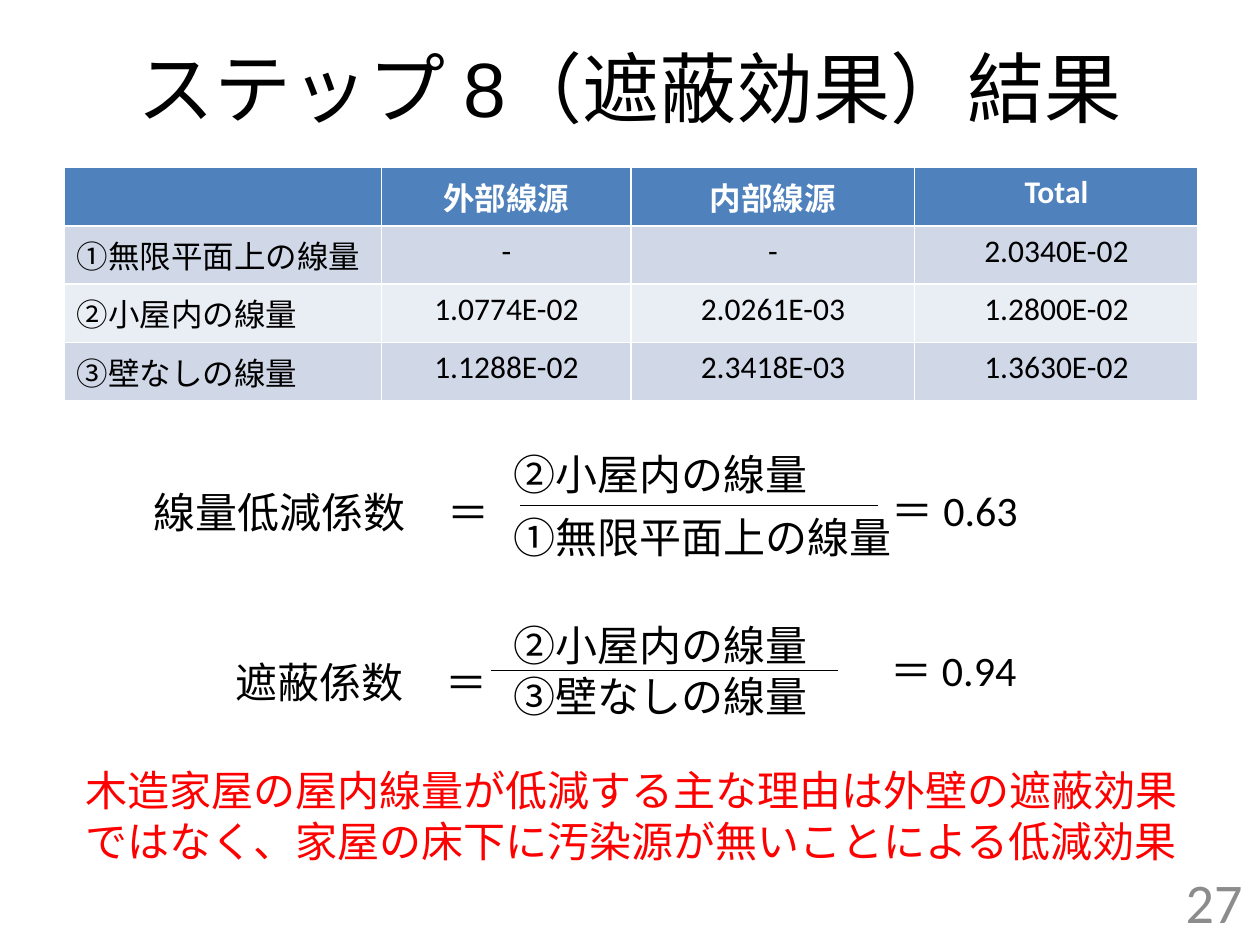
from lxml import etree
from pptx import Presentation
from pptx.dml.color import RGBColor
from pptx.enum.shapes import MSO_CONNECTOR
from pptx.enum.text import MSO_ANCHOR, PP_ALIGN
from pptx.oxml.ns import qn
from pptx.util import Inches, Pt

LEFT, CENTER, RIGHT = PP_ALIGN.LEFT, PP_ALIGN.CENTER, PP_ALIGN.RIGHT
TOP, MIDDLE = MSO_ANCHOR.TOP, MSO_ANCHOR.MIDDLE
STRAIGHT = MSO_CONNECTOR.STRAIGHT

BLACK = RGBColor(0x00, 0x00, 0x00)
WHITE = RGBColor(0xFF, 0xFF, 0xFF)
RED = RGBColor(0xFF, 0x00, 0x00)
GRAY = RGBColor(0x8C, 0x8C, 0x8C)
HEADER_BLUE = RGBColor(0x4F, 0x81, 0xBD)
BAND_DARK = RGBColor(0xD0, 0xD8, 0xE8)
BAND_LIGHT = RGBColor(0xE9, 0xED, 0xF4)

SLIDE_WIDTH, SLIDE_HEIGHT = 10, 7.5
MARGIN = 0.51
CONTENT_WIDTH = 9
LINE_HEIGHT = 0.5

COLUMN_WIDTHS = [2.52, 1.98, 2.25, 2.25]
DOSE_ROWS = [
    ["", "外部線源", "内部線源", "Total"],
    ["①無限平面上の線量", "-", "-", "2.0340E-02"],
    ["②小屋内の線量", "1.0774E-02", "2.0261E-03", "1.2800E-02"],
    ["③壁なしの線量", "1.1288E-02", "2.3418E-03", "1.3630E-02"],
]


def write(text_frame, text, align=LEFT, **formats):
    """Put one formatted paragraph in a text frame."""
    paragraph = text_frame.paragraphs[0]
    paragraph.alignment = align
    run = paragraph.add_run()
    run.text = text
    settings = {"name": "Calibri", "size": Pt(24), "color": BLACK, **formats}
    run.font.color.rgb = settings.pop("color")
    for name, value in settings.items():
        setattr(run.font, name, value)


def add_text(slide, box, text, align=LEFT, anchor=TOP, **formats):
    text_frame = slide.shapes.add_textbox(*map(Inches, box)).text_frame
    text_frame.word_wrap = True
    text_frame.vertical_anchor = anchor
    write(text_frame, text, align, **formats)


def add_title(slide, box, text):
    title = slide.shapes.title
    title.left, title.top, title.width, title.height = map(Inches, box)
    title.text_frame.vertical_anchor = MIDDLE
    write(title.text_frame, text, CENTER, name="Arial", size=Pt(44))


def add_dose_table(slide, box):
    frame = slide.shapes.add_table(len(DOSE_ROWS), len(COLUMN_WIDTHS), *map(Inches, box))
    table = frame.table
    for column, width in zip(table.columns, COLUMN_WIDTHS):
        column.width = Inches(width)
    for row, values in enumerate(DOSE_ROWS):
        header = row == 0
        fill = HEADER_BLUE if header else (BAND_DARK if row % 2 else BAND_LIGHT)
        for column, value in enumerate(values):
            cell = table.cell(row, column)
            cell.fill.solid()
            cell.fill.fore_color.rgb = fill
            if value:
                write(cell.text_frame, value, CENTER if header or column else LEFT,
                      size=Pt(18), bold=header, color=WHITE if header else BLACK)


def add_fraction_bar(slide, left, right, y):
    bar = slide.shapes.add_connector(
        STRAIGHT, Inches(left), Inches(y), Inches(right), Inches(y))
    bar.line.color.rgb = BLACK
    bar.line.width = Pt(0.75)
    etree.SubElement(bar._element.spPr, qn("a:effectLst"))


def add_equation(slide, box, terms, bar):
    """Place (text, x, y, width) terms and a (left, right, y) bar in the box."""
    left, top = box
    for text, x, y, width in terms:
        add_text(slide, (left + x, top + y, width, LINE_HEIGHT), text)
    start, end, y = bar
    add_fraction_bar(slide, left + start, left + end, top + y)


def build_slide(presentation):
    slide = presentation.slides.add_slide(presentation.slide_layouts[5])

    # Title and dose table
    add_title(slide, (0.5, 0.06, CONTENT_WIDTH, 1.25), "ステップ 8（遮蔽効果）結果")
    add_dose_table(slide, (MARGIN, 1.33, CONTENT_WIDTH, 1.62))

    # Dose reduction factor
    add_equation(slide, (1.12, 3.51), [
        ("線量低減係数　＝", 0, 0.3, 3.02),
        ("②小屋内の線量", 2.86, 0, 2.83),
        ("①無限平面上の線量", 2.86, 0.5, 3.23),
        ("＝ 0.63", 5.86, 0.29, 1.38),
    ], (3.01, 5.85, 0.5))

    # Shielding factor
    add_equation(slide, (1.12, 4.87), [
        ("遮蔽係数　＝", 0.65, 0.29, 2.36),
        ("②小屋内の線量", 2.86, 0, 2.99),
        ("③壁なしの線量", 2.86, 0.4, 2.76),
        ("＝ 0.94", 5.85, 0.2, 1.4),
    ], (2.78, 5.53, 0.45))

    # Conclusion and page number
    add_text(slide, (MARGIN, 6.02, CONTENT_WIDTH, 0.91),
             "木造家屋の屋内線量が低減する主な理由は外壁の遮蔽効果"
             "ではなく、家屋の床下に汚染源が無いことによる低減効果",
             CENTER, color=RED)
    add_text(slide, (7.63, 6.95, 2.33, 0.4), "27", RIGHT, MIDDLE,
             size=Pt(32), color=GRAY)


def main():
    presentation = Presentation()
    presentation.slide_width = Inches(SLIDE_WIDTH)
    presentation.slide_height = Inches(SLIDE_HEIGHT)
    build_slide(presentation)
    presentation.save("out.pptx")


if __name__ == "__main__":
    main()
